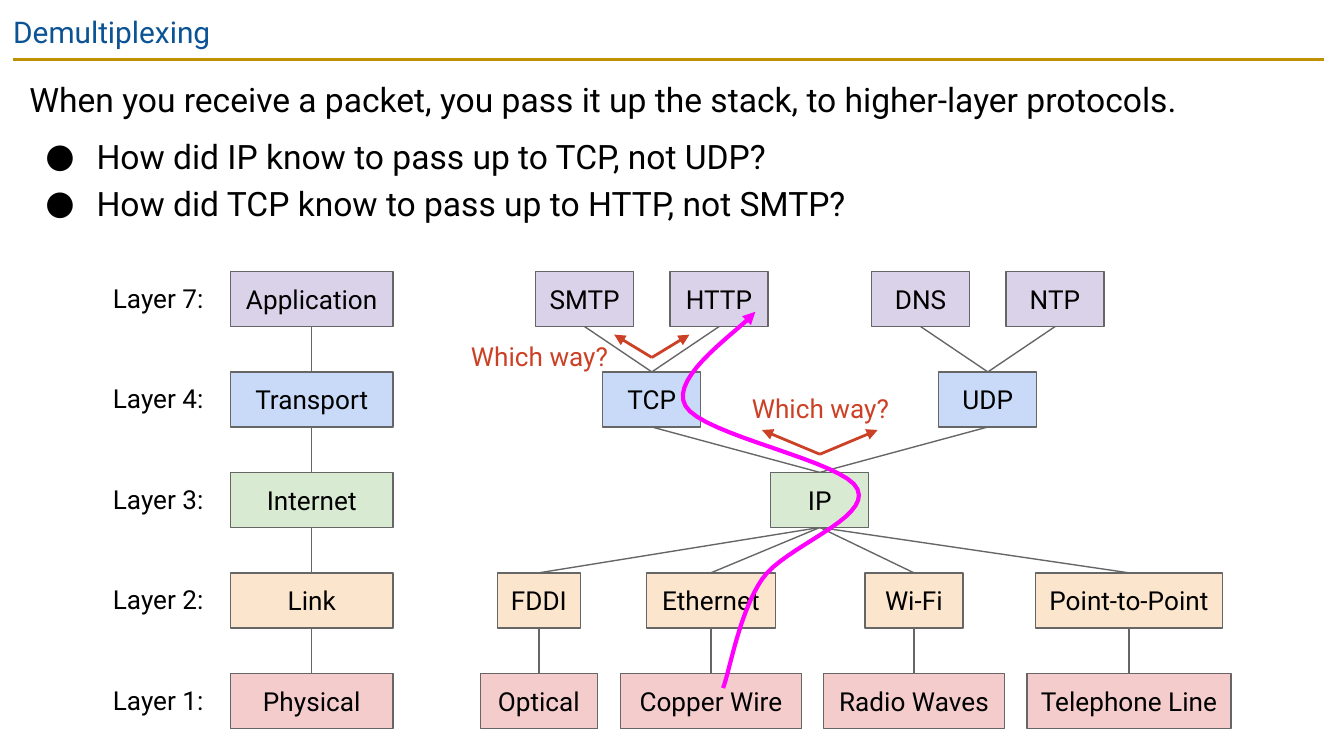
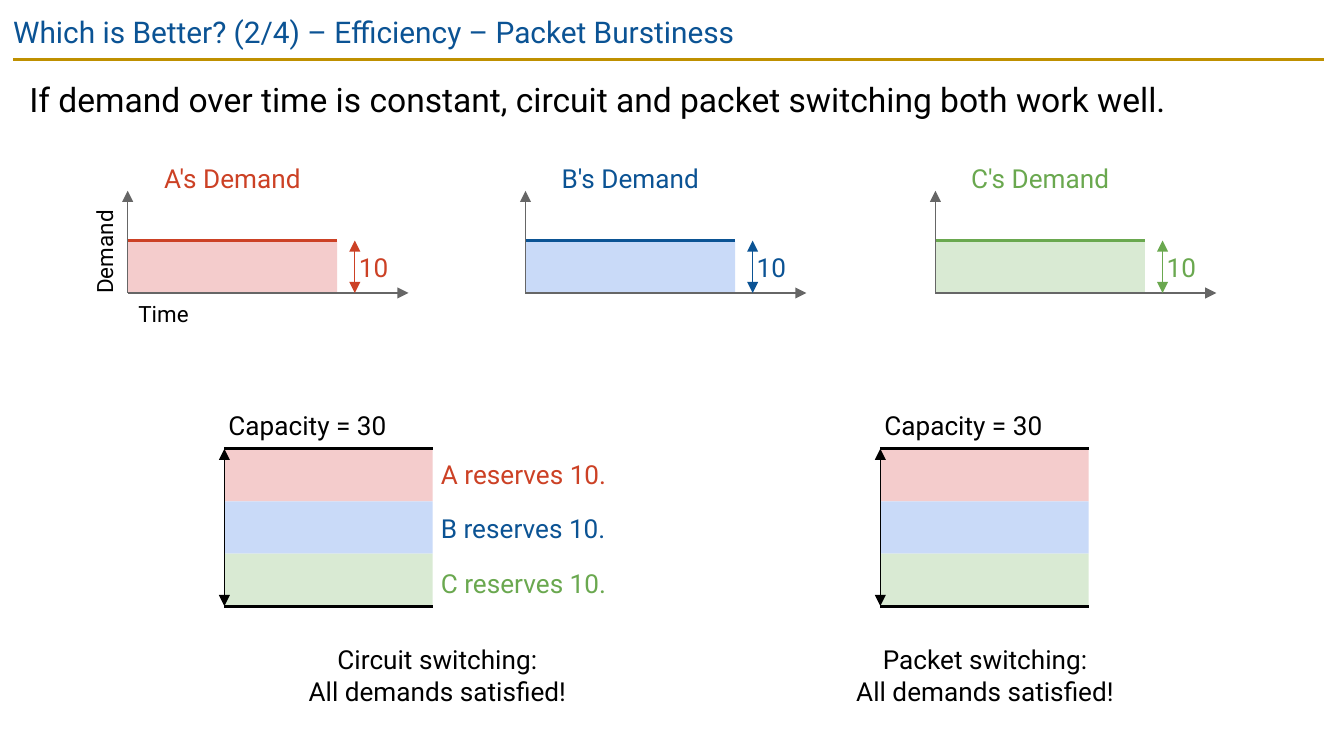
from lxml import etree
from pptx import Presentation
from pptx.dml.color import RGBColor
from pptx.enum.shapes import MSO_CONNECTOR, MSO_SHAPE
from pptx.enum.text import MSO_ANCHOR, PP_ALIGN
from pptx.oxml.ns import qn
from pptx.util import Inches, Pt

RECT = MSO_SHAPE.RECTANGLE
LINE = MSO_CONNECTOR.STRAIGHT
LEFT, CENTER = PP_ALIGN.LEFT, PP_ALIGN.CENTER
TOP, MIDDLE = MSO_ANCHOR.TOP, MSO_ANCHOR.MIDDLE


class Theme:
    font = "Roboto"
    title, body, label, small = 16, 18, 14, 12
    thin, bold, path_w = 0.75, 1.5, 2.25
    black, gray, gold = "000000", "666666", "BF9000"
    red, blue, green, pink = "CC4125", "0B5394", "6AA84F", "FF00FF"
    rose, sky, mint = "F4CCCC", "C9DAF8", "D9EAD3"
    peach, lilac = "FCE5CD", "D9D2E9"


DEMUX = {
    "title": "Demultiplexing",
    "lead": "When you receive a packet, you pass it up the stack, to higher-layer protocols.",
    "points": ["How did IP know to pass up to TCP, not UDP?",
               "How did TCP know to pass up to HTTP, not SMTP?"],
    "height": 1.37,
}
LAYERS = [
    ("Layer 7:", "Application", Theme.lilac,
     [("SMTP", 4.35, 0.73), ("HTTP", 5.35, 0.73), ("DNS", 6.85, 0.73), ("NTP", 7.85, 0.73)]),
    ("Layer 4:", "Transport", Theme.sky, [("TCP", 4.85, 0.73), ("UDP", 7.35, 0.73)]),
    ("Layer 3:", "Internet", Theme.mint, [("IP", 6.1, 0.73)]),
    ("Layer 2:", "Link", Theme.peach,
     [("FDDI", 4.01, 0.62), ("Ethernet", 5.29, 0.96), ("Wi-Fi", 6.8, 0.73),
      ("Point-to-Point", 8.4, 1.39)]),
    ("Layer 1:", "Physical", Theme.rose,
     [("Optical", 4.01, 0.87), ("Copper Wire", 5.29, 1.35), ("Radio Waves", 6.8, 1.35),
      ("Telephone Line", 8.4, 1.52)]),
]
LINKS = [
    ("Application", "Transport"), ("Transport", "Internet"),
    ("Internet", "Link"), ("Link", "Physical"),
    ("SMTP", "TCP"), ("HTTP", "TCP"), ("DNS", "UDP"), ("NTP", "UDP"),
    ("TCP", "IP"), ("UDP", "IP"),
    ("IP", "FDDI"), ("IP", "Ethernet"), ("IP", "Wi-Fi"), ("IP", "Point-to-Point"),
    ("FDDI", "Optical"), ("Ethernet", "Copper Wire"),
    ("Wi-Fi", "Radio Waves"), ("Point-to-Point", "Telephone Line"),
]
ROUTE = [
    (5.62, 2.32), (5.53, 2.44), (4.97, 2.8), (5.1, 3.02),
    (5.22, 3.24), (6.29, 3.43), (6.38, 3.64),
    (6.48, 3.86), (5.83, 4.07), (5.67, 4.31),
    (5.5, 4.56), (5.43, 4.99), (5.38, 5.12),
]
FORKS = [
    ("Which way?", 6.1, 3.38, 0.43, 0.18, (5.54, 2.89)),
    ("Which way?", 4.85, 2.66, 0.28, 0.17, (3.45, 2.5)),
]

BURST = {
    "title": "Which is Better? (2/4) – Efficiency – Packet Burstiness",
    "lead": "If demand over time is constant, circuit and packet switching both work well.",
    "points": [],
    "height": 0.64,
}
USERS = [
    ("A", 0.95, Theme.red, Theme.rose),
    ("B", 3.91, Theme.blue, Theme.sky),
    ("C", 6.96, Theme.green, Theme.mint),
]
RESERVE = [(3.38, 1.35), (3.78, 1.35), (4.19, 1.59)]
LINKS_OUT = [
    (1.67, ["Circuit switching:", "All demands satisfied!"], (1.67, 3.17), True),
    (6.55, ["Packet switching:", "All demands satisfied!"], (6.33, 2), False),
]


def rgb(code):
    return RGBColor.from_string(code)


def add_run(para, words, size, color):
    run = para.add_run()
    run.text = words
    run.font.name = Theme.font
    run.font.size = Pt(size)
    run.font.color.rgb = rgb(color)


def set_frame(frame, inset, anchor=TOP):
    frame.word_wrap = True
    frame.vertical_anchor = anchor
    frame.margin_left = frame.margin_right = Inches(inset)
    frame.margin_top = frame.margin_bottom = Inches(inset)
    return frame


def add_text(slide, lines, x, y, w, h, size=Theme.label, color=Theme.black,
             align=LEFT, inset=0.03):
    box = slide.shapes.add_textbox(*map(Inches, (x, y, w, h)))
    para = set_frame(box.text_frame, inset).paragraphs[0]
    para.alignment = align
    for i, words in enumerate(lines):
        if i:
            para.add_line_break()
        add_run(para, words, size, color)
    return box


def add_rect(slide, x, y, w, h, fill, line=None, words=None):
    box = slide.shapes.add_shape(RECT, *map(Inches, (x, y, w, h)))
    box.shadow.inherit = False
    box.fill.solid()
    box.fill.fore_color.rgb = rgb(fill)
    if line:
        box.line.color.rgb = rgb(line)
        box.line.width = Pt(Theme.thin)
    else:
        box.line.fill.background()
    if words:
        para = set_frame(box.text_frame, 0.1, MIDDLE).paragraphs[0]
        para.alignment = CENTER
        add_run(para, words, Theme.label, Theme.black)


def add_ends(shape, ends):
    ln = shape.element.spPr.find(qn("a:ln"))
    for end in ends:
        etree.SubElement(ln, qn(f"a:{end}End"), type="triangle")


def add_line(slide, start, end, color=Theme.gray, width=Theme.thin, ends=()):
    line = slide.shapes.add_connector(LINE, *map(Inches, (*start, *end)))
    line.line.color.rgb = rgb(color)
    line.line.width = Pt(width)
    add_ends(line, ends)
    etree.SubElement(line.element.spPr, qn("a:effectLst"))


def add_bullet(para):
    props = para._p.get_or_add_pPr()
    props.set("marL", str(Inches(0.5)))
    props.set("indent", str(Inches(-0.38)))
    tint = etree.SubElement(props, qn("a:buClr"))
    etree.SubElement(tint, qn("a:srgbClr"), val=Theme.black)
    etree.SubElement(props, qn("a:buSzPts"), val=str(Theme.body * 100))
    etree.SubElement(props, qn("a:buFont"), typeface=Theme.font)
    etree.SubElement(props, qn("a:buChar"), char="●")


def add_base(deck, page):
    slide = deck.slides.add_slide(deck.slide_layouts[6])
    add_line(slide, (0.1, 0.44), (9.85, 0.44), Theme.gold, Theme.bold)
    add_text(slide, [page["title"]], 0, 0, 10, 0.43, Theme.title, Theme.blue, inset=0.1)
    box = add_text(slide, [page["lead"]], 0.12, 0.44, 9.74, page["height"], Theme.body, inset=0.1)
    for words in page["points"]:
        add_run(box.text_frame.add_paragraph(), words, Theme.body, Theme.black)
    for i, para in enumerate(box.text_frame.paragraphs):
        para.line_spacing = 1.15
        para.space_before = Pt(6 if i < 2 else 0)
        if i:
            add_bullet(para)
    return slide


def curve(knots, steps=16):
    dots = [knots[0]]
    for i in range(0, len(knots) - 1, 3):
        a, b, c, d = knots[i:i + 4]
        for n in range(1, steps + 1):
            t = n / steps
            u = 1 - t
            dots.append(tuple(
                u**3 * p + 3 * u * u * t * q + 3 * u * t * t * r + t**3 * s
                for p, q, r, s in zip(a, b, c, d)))
    return dots


def add_route(slide):
    dots = [tuple(map(Inches, dot)) for dot in curve(ROUTE)]
    pen = slide.shapes.build_freeform(*dots[0])
    pen.add_line_segments(dots[1:], close=False)
    route = pen.convert_to_shape()
    route.shadow.inherit = False
    route.fill.background()
    route.line.color.rgb = rgb(Theme.pink)
    route.line.width = Pt(Theme.path_w)
    add_ends(route, ["head"])


def draw_demux(deck):
    slide = add_base(deck, DEMUX)
    first, last, tall = 2.02, 5.01, 0.41
    step = (last - first) / (len(LAYERS) - 1)
    spots = {}
    for i, (_, name, _, nodes) in enumerate(LAYERS):
        for node, x, _ in [(name, 2.32, 1.21), *nodes]:
            spots[node] = x, first + i * step
    for upper, lower in LINKS:
        x, y = spots[upper]
        add_line(slide, (x, y + tall), spots[lower])
    for label, name, fill, nodes in LAYERS:
        for node, x, w in [(name, 2.32, 1.21), *nodes]:
            add_rect(slide, x - w / 2, spots[node][1], w, tall, fill, Theme.gray, node)
        add_text(slide, [label], 0.81, spots[name][1] + 0.05, 0.81, 0.3)
    add_route(slide)
    for words, x, y, dx, dy, spot in FORKS:
        for side in (-1, 1):
            add_line(slide, (x, y), (x + side * dx, y - dy), Theme.red, Theme.bold, ["tail"])
        add_text(slide, [words], *spot, 1.13, 0.3, color=Theme.red, align=CENTER)


def draw_burst(deck):
    slide = add_base(deck, BURST)
    both = ["head", "tail"]
    wide, tall, top = 1.56, 0.39, 1.79
    base = top + tall
    for name, x, ink, fill in USERS:
        add_rect(slide, x, top, wide, tall, fill)
        add_line(slide, (x, top), (x + wide, top), ink, Theme.bold)
        add_line(slide, (x, base), (x + 2.09, base), ends=["tail"])
        add_line(slide, (x, base), (x, 1.42), ends=["tail"])
        add_text(slide, [f"{name}'s Demand"], x, 1.18, wide, 0.3, color=ink, align=CENTER)
        gauge = x + 1.69
        add_line(slide, (gauge, base), (gauge, top), ink, ends=both)
        add_text(slide, ["10"], gauge, 1.84, 0.32, 0.3, color=ink)
    add_text(slide, ["Time"], 1.03, 2.23, 0.41, 0.2, Theme.small, inset=0)
    axis = add_text(slide, ["Demand"], 0.45, 1.76, 0.65, 0.2, Theme.small, inset=0)
    axis.rotation = 270

    wide, top = 1.55, 3.34
    base = top + tall * len(USERS)
    for x, notes, (left, span), split in LINKS_OUT:
        for i, (name, _, ink, fill) in enumerate(USERS):
            add_rect(slide, x, top + i * tall, wide, tall, fill)
            if split:
                y, w = RESERVE[i]
                add_text(slide, [f"{name} reserves 10."], x + 1.58, y, w, 0.3, color=ink)
        for y in (top, base):
            add_line(slide, (x, y), (x + wide, y), Theme.black, Theme.bold)
        add_line(slide, (x, base), (x, top), Theme.black, ends=both)
        add_text(slide, ["Capacity = 30"], x, 3.02, 1.29, 0.3)
        add_text(slide, notes, left, 4.76, span, 0.53, align=CENTER)


def main():
    deck = Presentation()
    deck.slide_width = Inches(10)
    deck.slide_height = deck.slide_width * 9 // 16
    draw_demux(deck)
    draw_burst(deck)
    deck.save("out.pptx")


if __name__ == "__main__":
    main()
